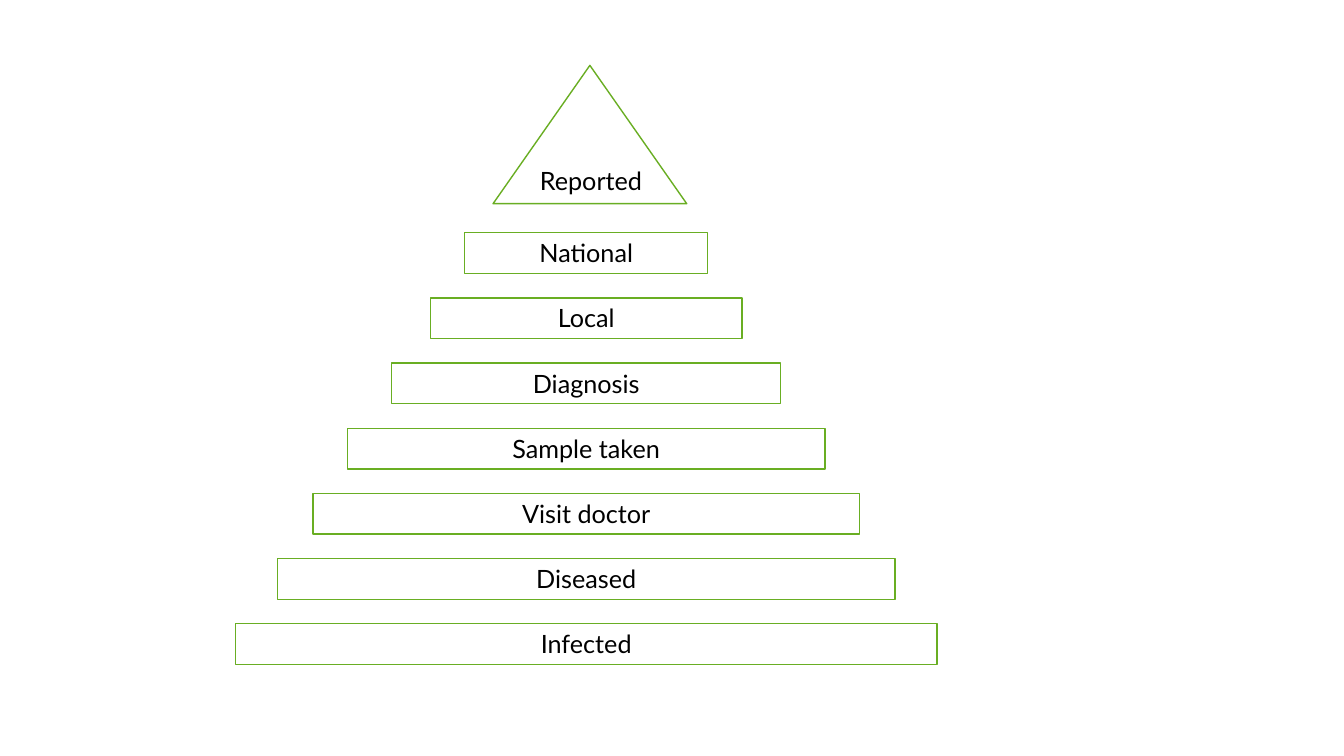
from pptx import Presentation
from pptx.dml.color import RGBColor
from pptx.enum.shapes import MSO_SHAPE as Shape
from pptx.enum.text import MSO_ANCHOR as Anchor, MSO_AUTO_SIZE as AutoSize, PP_ALIGN as Align
from pptx.util import Pt

GREEN = RGBColor(0x69, 0xAE, 0x23)
WHITE = RGBColor(0xFF, 0xFF, 0xFF)
BLACK = RGBColor(0x00, 0x00, 0x00)
FONT = "Lato"
BAR_HEIGHT = 29.08
BAR_PITCH = 46.56
LEVELS = [
    ("National", 173.5),
    ("Local", 222.5),
    ("Diagnosis", 278),
    ("Sample taken", 341.3),
    ("Visit doctor", 390.3),
    ("Diseased", 441.4),
    ("Infected", 501.1),
]


def add_block(slide, kind, left, top, width, height, text="", outlined=True):
    """Add a white shape with an optional green outline and centred text."""
    shape = slide.shapes.add_shape(kind, Pt(left), Pt(top), Pt(width), Pt(height))
    shape.shadow.inherit = False
    shape.fill.solid()
    shape.fill.fore_color.rgb = WHITE
    if outlined:
        shape.line.color.rgb = GREEN
        shape.line.width = Pt(1)
    else:
        shape.line.fill.background()
    if text:
        frame = shape.text_frame
        frame.word_wrap = True
        frame.auto_size = AutoSize.SHAPE_TO_FIT_TEXT
        frame.vertical_anchor = Anchor.TOP
        paragraph = frame.paragraphs[0]
        paragraph.alignment = Align.CENTER
        run = paragraph.add_run()
        run.text = text
        run.font.name = FONT
        run.font.size = Pt(18)
        run.font.color.rgb = BLACK
    return shape


def add_peak(slide, left, top, width, height):
    """Draw the triangle at the top with its label near the base."""
    add_block(slide, Shape.ISOSCELES_TRIANGLE, left, top, width, height)
    label_width = 91.4
    label_left = left + (width - label_width) / 2 + 0.8
    label_top = top + height - BAR_HEIGHT - 2
    add_block(slide, Shape.RECTANGLE, label_left, label_top, label_width, BAR_HEIGHT,
              "Reported", outlined=False)


def add_levels(slide, left, top, width):
    """Stack the widening bars, centred in the given width."""
    for index, (text, bar_width) in enumerate(LEVELS):
        bar_left = left + (width - bar_width) / 2
        add_block(slide, Shape.RECTANGLE, bar_left, top + index * BAR_PITCH,
                  bar_width, BAR_HEIGHT, text)


def main():
    """Build the surveillance pyramid slide and save it."""
    presentation = Presentation()
    presentation.slide_width = Pt(960)
    presentation.slide_height = Pt(540)
    slide = presentation.slides.add_slide(presentation.slide_layouts[6])
    add_peak(slide, 352.2, 46.7, 138.3, 98.8)
    add_levels(slide, 168.2, 166.2, 501.1)
    presentation.save("out.pptx")


if __name__ == "__main__":
    main()
